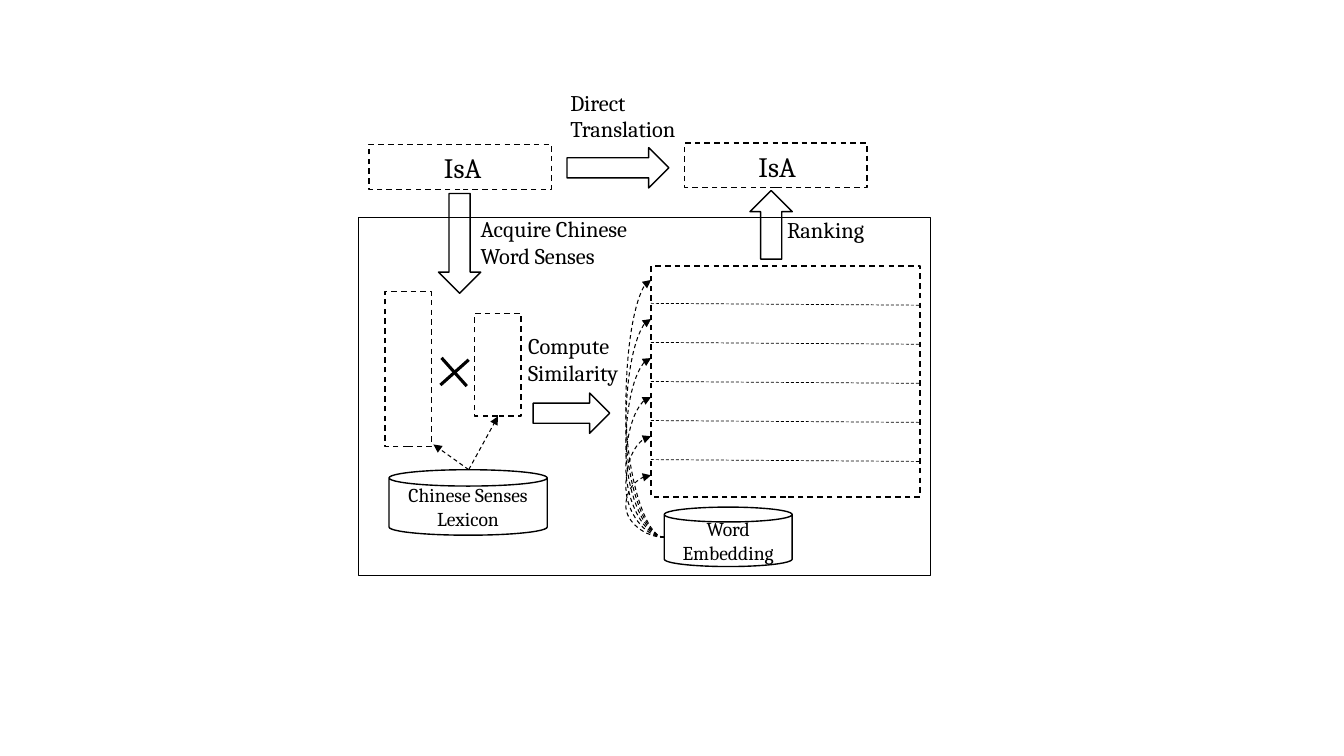
"""Build a slide on translating IsA relations through Chinese word senses."""
from lxml import etree
from pptx import Presentation
from pptx.dml.color import RGBColor
from pptx.enum import dml, shapes, text
from pptx.oxml import ns
from pptx.util import Pt

BLACK = RGBColor(0, 0, 0)
WHITE = RGBColor(255, 255, 255)
KIND = shapes.MSO_SHAPE
LINK = shapes.MSO_CONNECTOR
DASH = dml.MSO_LINE.DASH
LEFT, MID = text.PP_ALIGN.LEFT, text.PP_ALIGN.CENTER

deck = Presentation()
deck.slide_width, deck.slide_height = Pt(960), Pt(540)
slide = deck.slides.add_slide(deck.slide_layouts[6])


def write(shape, words, size, align):
    frame = shape.text_frame
    frame.word_wrap = True
    frame.text = words
    para = frame.paragraphs[0]
    para.alignment = align
    for key, value in {"name": "Cambria", "size": Pt(size)}.items():
        setattr(para.font, key, value)
    para.font.color.rgb = BLACK


def join(kind, ends, width, dash=None, head=False):
    link = slide.shapes.add_connector(kind, *map(Pt, ends))
    link.line.color.rgb = BLACK
    for key, value in {"width": Pt(width), "dash_style": dash}.items():
        setattr(link.line, key, value)
    props = link._element.spPr
    if head:
        etree.SubElement(props.find(ns.qn("a:ln")), ns.qn("a:tailEnd"), type="triangle")
    etree.SubElement(props, ns.qn("a:effectLst"))
    return link


arrow, rect, can = KIND.DOWN_ARROW, KIND.RECTANGLE, KIND.CAN
parts = [
    (arrow, (313.2, 138.2, 30.2, 71.3), 0, None, ""),
    (arrow, (393.8, 267.8, 28.8, 54.7), 270, None, ""),
    (arrow, (535.7, 136.1, 30.2, 49), 180, None, ""),
    (arrow, (427, 83.5, 28.8, 72.7), 270, None, ""),
    (rect, (275, 208.1, 33.1, 110.9), 0, DASH, ""),
    (rect, (339.1, 223.9, 33.1, 73.4), 0, DASH, ""),
    (rect, (465.1, 190.1, 192.2, 164.9), 0, DASH, ""),
    (rect, (263.5, 103, 130.3, 32.4), 0, DASH, ""),
    (rect, (488.9, 102.2, 130.3, 31.7), 0, DASH, ""),
    (can, (277.9, 335.5, 113, 46.8), 0, None, "Chinese Senses Lexicon"),
    (can, (474.5, 362.2, 91.4, 42.5), 0, None, "Word Embedding"),
    (rect, (256.3, 155.5, 408.2, 255.6), 0, None, ""),
]
for kind, box, turn, dash, words in parts:
    shape = slide.shapes.add_shape(kind, *map(Pt, box))
    shape.rotation = turn
    shape.shadow.inherit = False
    if kind == rect:
        shape.fill.background()
    else:
        shape.fill.solid()
        shape.fill.fore_color.rgb = WHITE
    shape.line.color.rgb = BLACK
    for key, value in {"width": Pt(1), "dash_style": dash}.items():
        setattr(shape.line, key, value)
    if words:
        shape.text_frame.vertical_anchor = text.MSO_ANCHOR.MIDDLE
        write(shape, words, 14, MID)

for row in range(5):
    top = 216.7 + 27.9 * row
    join(LINK.STRAIGHT, (465, top, 656.6, top + 1.3), 0.5, DASH)

for tip in [(309.6, 317.5), (355.7, 297.4)]:
    join(LINK.STRAIGHT, (334.8, 335.5, *tip), 0.75, DASH, True)

for row in range(6):
    curve = join(LINK.CURVE, (474.5, 383.8, 465.1, 200 + 27.9 * row), 0.75, DASH, True)
    guides = curve._element.spPr.find(ns.qn("a:prstGeom")).get_or_add_avLst()
    etree.SubElement(guides, ns.qn("a:gd"), name="adj1", fmla="val 291500")

for ends in [(315.4, 255.6, 333.4, 275.8), (334.8, 257, 314.6, 275)]:
    join(LINK.STRAIGHT, ends, 2.25)

labels = [
    ("IsA", (294.5, 103.7, 72, 31.7), 20, MID),
    ("IsA", (519.1, 103, 72, 31.7), 20, MID),
    ("Direct Translation", (400.3, 59.8, 124.6, 46.1), 16, LEFT),
    ("Compute Similarity", (370.1, 234, 90.7, 46.1), 16, LEFT),
    ("Ranking", (555.1, 151.2, 90.7, 26.6), 16, LEFT),
    ("Acquire Chinese Word Senses", (336.2, 150.5, 133.2, 46.1), 16, LEFT),
]
for words, box, size, align in labels:
    label = slide.shapes.add_textbox(*map(Pt, box))
    write(label, words, size, align)
    label.text_frame.auto_size = text.MSO_AUTO_SIZE.SHAPE_TO_FIT_TEXT

deck.save("out.pptx")
